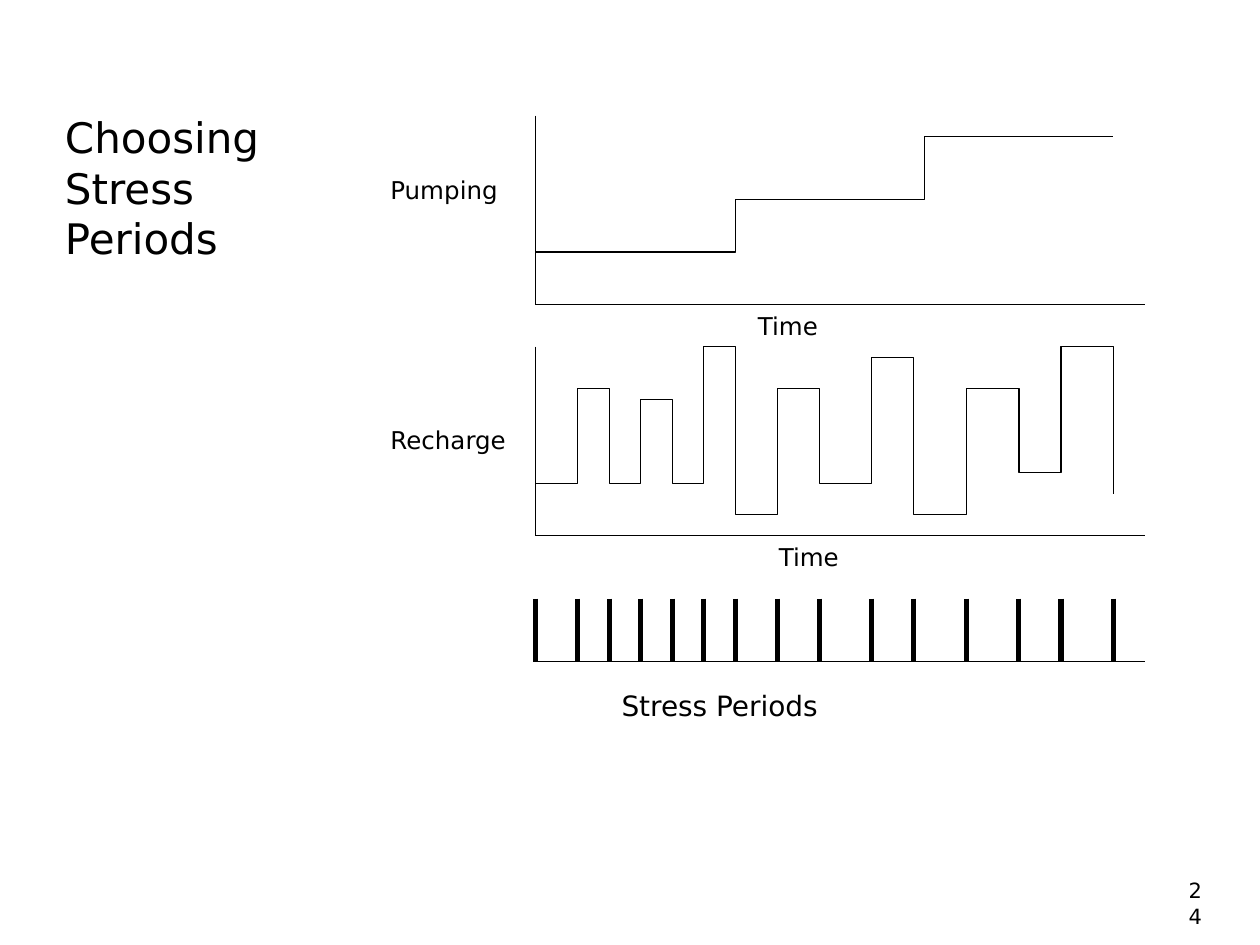
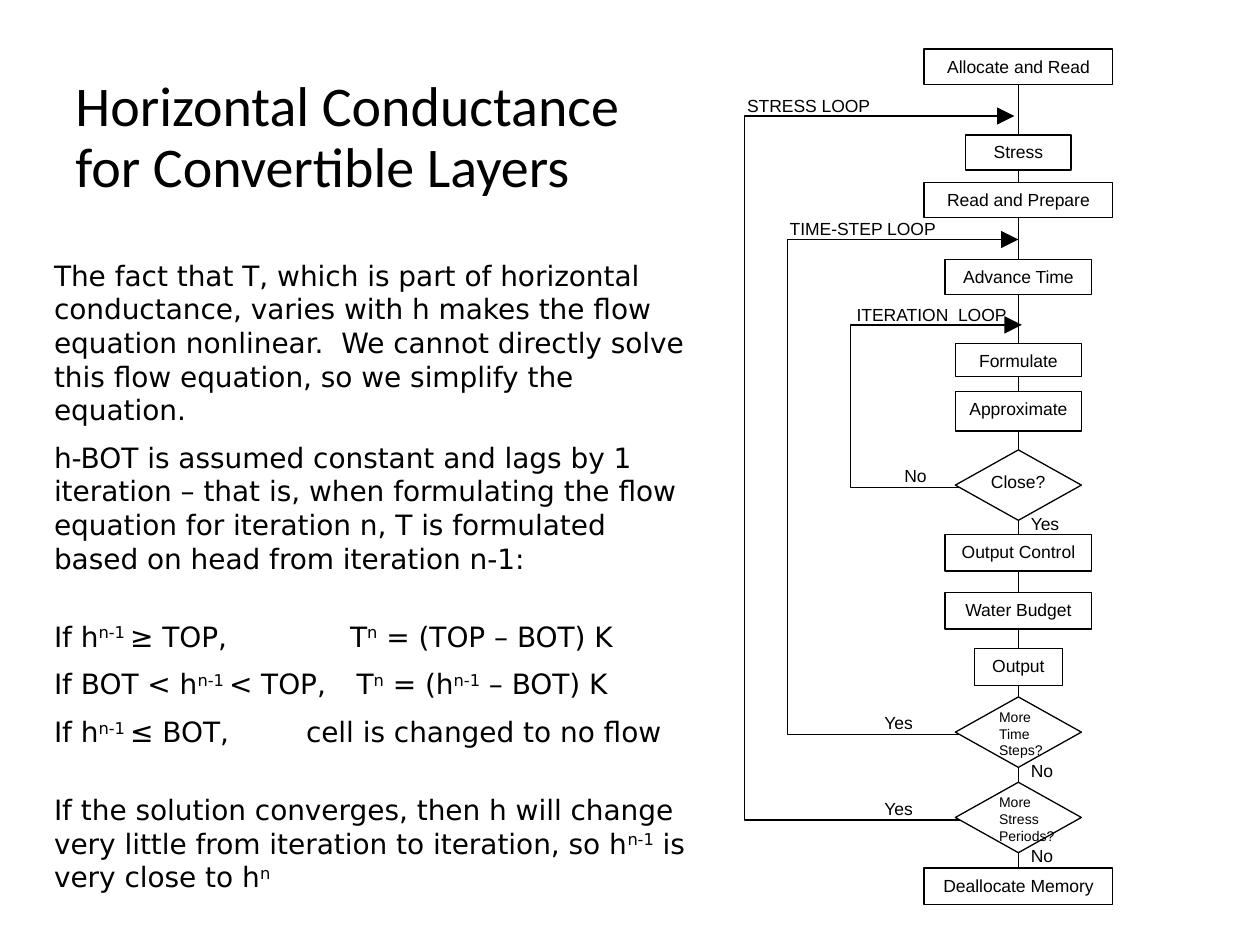
import dataclasses
import itertools

import lxml.etree
import pptx
import pptx.dml.color
import pptx.enum.shapes
import pptx.enum.text
import pptx.oxml.ns
import pptx.util

Cm, Pt = pptx.util.Cm, pptx.util.Pt
SHAPE = pptx.enum.shapes.MSO_SHAPE
ALIGN = pptx.enum.text.PP_ALIGN
ANCHOR = pptx.enum.text.MSO_ANCHOR
qn = pptx.oxml.ns.qn


@dataclasses.dataclass(frozen=True)
class Theme:
    ink: pptx.dml.color.RGBColor = pptx.dml.color.RGBColor(0, 0, 0)
    paper: pptx.dml.color.RGBColor = pptx.dml.color.RGBColor(255, 255, 255)
    body_font: str = "DejaVu Sans"
    title_font: str = "Calibri"
    flow_font: str = "Arial"
    plot_title: float = 24
    text_title: float = 32
    body: float = 16
    axis_label: float = 14
    page_number: float = 12
    flow: float = 10
    flow_small: float = 8
    thin: float = 0.75
    thick: float = 3


THEME = Theme()
FLOW = {"size": THEME.flow, "font": THEME.flow_font}


# Text

def write(frame, text, size=THEME.body, font=THEME.body_font, align=ALIGN.LEFT,
          before=0, spacing=None, tab=None):
    """Add one paragraph; parts between ^ marks are raised."""
    paragraph = frame.paragraphs[0]
    if paragraph.runs:
        paragraph = frame.add_paragraph()
    paragraph.alignment = align
    paragraph.space_before = Pt(before)
    paragraph.line_spacing = spacing
    if tab:
        stops = lxml.etree.SubElement(paragraph._p.get_or_add_pPr(), qn("a:tabLst"))
        lxml.etree.SubElement(stops, qn("a:tab"), pos=str(Cm(tab)), algn="l")
    for i, part in enumerate(text.split("^")):
        if not part:
            continue
        run = paragraph.add_run()
        run.text = part
        run.font.size, run.font.name = Pt(size), font
        run.font.color.rgb = THEME.ink
        if i % 2:
            run._r.get_or_add_rPr().set("baseline", "30000")


def prepare(frame, anchor=ANCHOR.TOP, inset=(0.25, 0.13)):
    frame.word_wrap = True
    frame.auto_size = pptx.enum.text.MSO_AUTO_SIZE.NONE
    frame.vertical_anchor = anchor
    frame.margin_left = frame.margin_right = Cm(inset[0])
    frame.margin_top = frame.margin_bottom = Cm(inset[1])
    return frame


def add_label(slide, x, y, width, height, text, inset=(0.25, 0.13), **style):
    label = slide.shapes.add_textbox(Cm(x), Cm(y), Cm(width), Cm(height))
    write(prepare(label.text_frame, inset=inset), text, **style)


def add_title(slide, x, y, width, height, text, anchor, **style):
    title = slide.shapes.title
    title.left, title.top, title.width, title.height = map(Cm, (x, y, width, height))
    write(prepare(title.text_frame, anchor), text, **style)


# Lines and shapes

def set_line(line, weight=THEME.thin):
    line.color.rgb = THEME.ink
    line.width = Pt(weight)


def add_line(slide, x1, y1, x2, y2, weight=THEME.thin):
    line = slide.shapes.add_connector(
        pptx.enum.shapes.MSO_CONNECTOR.STRAIGHT, Cm(x1), Cm(y1), Cm(x2), Cm(y2))
    set_line(line.line, weight)
    lxml.etree.SubElement(line._element.spPr, qn("a:effectLst"))


def add_path(slide, points, arrow=False):
    start, *rest = [(Cm(x), Cm(y)) for x, y in points]
    builder = slide.shapes.build_freeform(*start)
    builder.add_line_segments(rest, close=False)
    outline = builder.convert_to_shape()
    outline.shadow.inherit = False
    outline.fill.background()
    set_line(outline.line)
    if arrow:
        lxml.etree.SubElement(outline.line._get_or_add_ln(), qn("a:tailEnd"),
                              type="triangle", w="lg", len="lg")


def add_node(slide, kind, x, y, width, height):
    node = slide.shapes.add_shape(kind, Cm(x), Cm(y), Cm(width), Cm(height))
    node.shadow.inherit = False
    node.fill.solid()
    node.fill.fore_color.rgb = THEME.paper
    set_line(node.line)
    return node


# Slide 1: step plots over a shared time axis

TIME_SPAN, LEVEL_SPAN = 58, 18
PERIOD_STARTS = [0, 4, 7, 10, 13, 16, 19, 23, 27, 32, 36, 41, 46, 50, 55]
RECHARGE = [5, 14, 5, 13, 5, 18, 2, 14, 5, 17, 2, 14, 6, 18]
RECHARGE_END = 4
PUMPING_STARTS, PUMPING = [0, 19, 37, 55], [5, 10, 16]


def add_step_plot(slide, box, times, levels, end_level=None):
    x, y, width, height = box
    base = y + height
    add_line(slide, x, y, x, base)
    add_line(slide, x, base, x + width, base)
    steps = []
    for (start, end), level in zip(itertools.pairwise(times), levels):
        steps += [(start, level), (end, level)]
    if end_level is not None:
        steps.append((times[-1], end_level))
    add_path(slide, [(x + time * width / TIME_SPAN, base - level * height / LEVEL_SPAN)
                     for time, level in steps])


def add_period_ticks(slide, box):
    x, y, width, height = box
    add_line(slide, x, y + height, x + width, y + height)
    for start in PERIOD_STARTS:
        tick = x + start * width / TIME_SPAN
        add_line(slide, tick, y, tick, y + height, THEME.thick)


def build_stress_periods(slide):
    add_title(slide, 1.06, 2.12, 4.66, 3.3, "Choosing Stress Periods", ANCHOR.TOP,
              size=THEME.plot_title)
    left, width, height = 10.8, 12.28, 3.81
    add_step_plot(slide, (left, 2.33, width, height), PUMPING_STARTS, PUMPING)
    add_step_plot(slide, (left, 6.99, width, height), PERIOD_STARTS, RECHARGE,
                  RECHARGE_END)
    add_period_ticks(slide, (left, 12.07, width, 1.27))
    for text, x, y, label_width in [
            ("Pumping", 7.62, 3.39, 2.96), ("Recharge", 7.62, 8.44, 2.96),
            ("Time", 15.03, 6.14, 4.45), ("Time", 15.45, 10.8, 4.45)]:
        add_label(slide, x, y, label_width, 0.84, text, size=THEME.axis_label)
    add_label(slide, 12.28, 13.76, 9.31, 0.94, "Stress Periods")
    add_label(slide, 23.71, 17.57, 0.85, 0.76, "24", size=THEME.page_number)


# Slide 2: explanation beside a flowchart

# text, top, width, height
STEPS = [
    ("Allocate and Read", 0, 3.81, 0.71),
    ("Stress", 1.73, 2.12, 0.71),
    ("Read and Prepare", 2.69, 3.81, 0.71),
    ("Advance Time", 4.24, 2.96, 0.71),
    ("Formulate", 5.94, 2.54, 0.66),
    ("Approximate", 6.91, 2.54, 0.79),
    ("Output Control", 9.78, 2.96, 0.74),
    ("Water Budget", 10.95, 2.96, 0.74),
    ("Output", 12.09, 1.78, 0.74),
    ("Deallocate Memory", 16.51, 3.81, 0.74),
]
# question, top, text shift right, text shift down, answer below, size, alignment
DECISIONS = [
    ("Close?", 8.08, 0, 0.38, "Yes", THEME.flow, ALIGN.CENTER),
    ("More Time Steps?", 13.06, 0.22, 0.18, "No", THEME.flow_small, ALIGN.LEFT),
    ("More Stress Periods?", 14.78, 0.22, 0.18, "No", THEME.flow_small, ALIGN.LEFT),
]
# label, label left, left, right, top, bottom, answer, answer left
LOOPS = [
    ("STRESS LOOP", 0, 0.2, 5.64, 1.35, 15.54, "Yes", 2.77),
    ("TIME-STEP LOOP", 0.86, 1.07, 5.72, 3.84, 13.82, "Yes", 2.77),
    ("ITERATION  LOOP", 2.21, 2.34, 5.79, 5.56, 8.84, "No", 3.17),
]


def add_flowchart(slide, x, y):
    spine = x + 5.72
    add_line(slide, spine, y + 0.6, spine, y + 16.7)
    for text, top, width, height in STEPS:
        step = add_node(slide, SHAPE.RECTANGLE, spine - width / 2, y + top, width, height)
        write(prepare(step.text_frame), text, align=ALIGN.CENTER, **FLOW)
    for label, label_left, left, right, top, bottom, answer, answer_left in LOOPS:
        add_path(slide, [(x + right, y + bottom), (x + left, y + bottom),
                         (x + left, y + top), (x + right, y + top)], arrow=True)
        add_label(slide, x + label_left, y + top - 0.56, 3.8, 0.58, label, **FLOW)
        add_label(slide, x + answer_left, y + bottom - 0.58, 1.27, 0.58, answer, **FLOW)
    for question, top, right, down, answer, size, align in DECISIONS:
        add_node(slide, SHAPE.DIAMOND, spine - 1.27, y + top, 2.54, 1.42)
        add_label(slide, spine - 0.64 + right, y + top + down, 1.27, 1.14, question,
                  inset=(0.03, 0.05), size=size, font=THEME.flow_font, align=align)
        add_label(slide, spine, y + top + 1.14, 1.27, 0.58, answer, **FLOW)


# text, space before, tab stop
EXPLANATION = [
    ("The fact that T, which is part of horizontal conductance, varies with h makes "
     "the flow equation nonlinear.  We cannot directly solve this flow equation, so "
     "we simplify the equation.", 0, None),
    ("h-BOT is assumed constant and lags by 1 iteration – that is, when formulating "
     "the flow equation for iteration n, T is formulated based on head from "
     "iteration n-1:", 8, None),
    ("If h^n-1 ^≥ TOP,\tT^n^ = (TOP – BOT) K", 25.5, 5.97),
    ("If BOT < h^n-1 ^< TOP,\tT^n^ = (h^n-1^ – BOT) K", 8, 6.1),
    ("If h^n-1 ^≤ BOT,\tcell is changed to no flow", 8, 5.08),
    ("If the solution converges, then h will change very little from iteration to "
     "iteration, so h^n-1^ is very close to h^n^", 25.5, None),
]


def add_explanation(slide, x, y, width, height):
    body = slide.shapes.add_textbox(Cm(x), Cm(y), Cm(width), Cm(height))
    frame = prepare(body.text_frame)
    for text, before, tab in EXPLANATION:
        write(frame, text, before=before, tab=tab)


def build_conductance(slide):
    add_title(slide, 1.27, 0.64, 11.64, 4.32,
              "Horizontal Conductance for Convertible Layers", ANCHOR.MIDDLE,
              size=THEME.text_title, font=THEME.title_font, spacing=0.9)
    add_explanation(slide, 0.84, 5.08, 13.34, 13.41)
    add_flowchart(slide, 14.81, 0.99)


def main():
    deck = pptx.Presentation()
    deck.slide_width, deck.slide_height = Cm(25.4), Cm(19.05)
    title_only = deck.slide_layouts[5]
    for build in (build_stress_periods, build_conductance):
        build(deck.slides.add_slide(title_only))
    deck.save("out.pptx")


if __name__ == "__main__":
    main()
